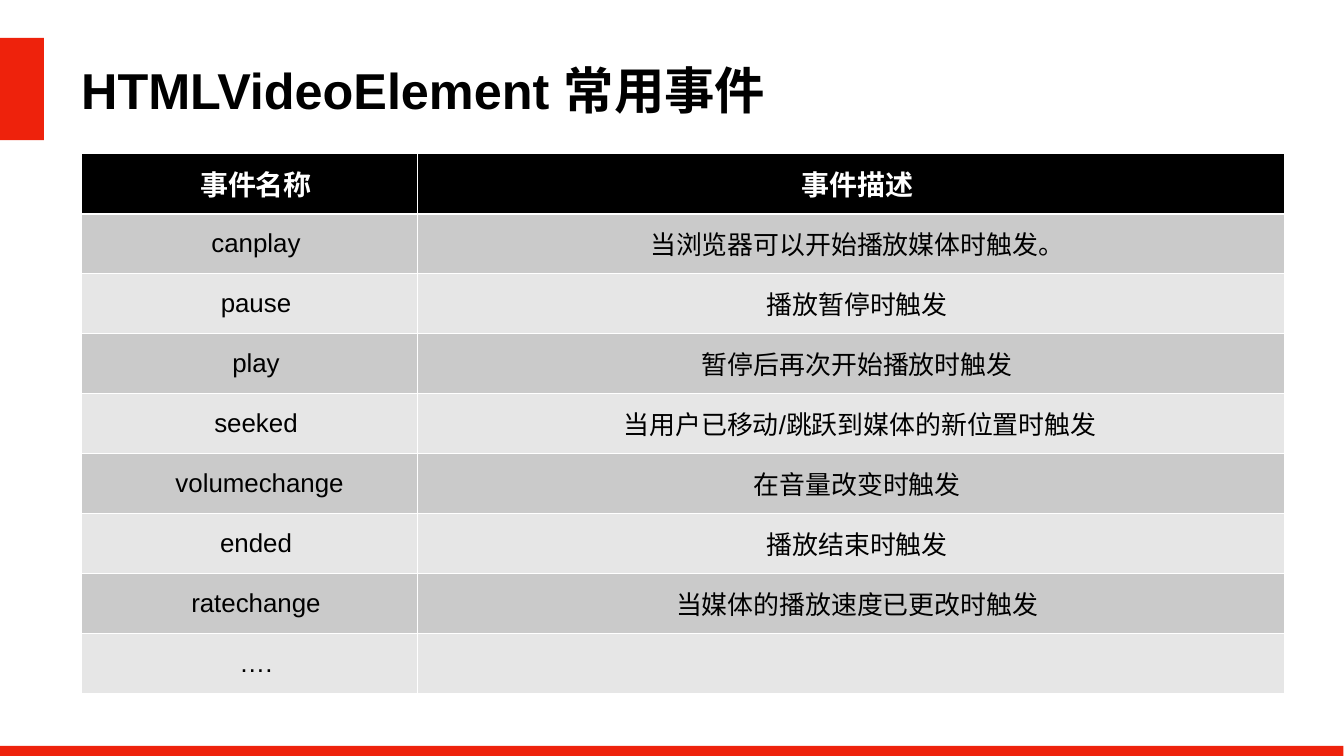
from lxml import etree
from pptx import Presentation
from pptx.dml.color import RGBColor
from pptx.enum.shapes import MSO_SHAPE
from pptx.enum.text import MSO_ANCHOR, MSO_AUTO_SIZE, PP_ALIGN
from pptx.oxml.ns import qn
from pptx.util import Inches, Pt

RECTANGLE = MSO_SHAPE.RECTANGLE
MIDDLE = MSO_ANCHOR.MIDDLE
NO_AUTOFIT = MSO_AUTO_SIZE.NONE
LEFT, CENTER = PP_ALIGN.LEFT, PP_ALIGN.CENTER

BLACK = RGBColor(0x00, 0x00, 0x00)
WHITE = RGBColor(0xFF, 0xFF, 0xFF)
RED = RGBColor(0xEE, 0x22, 0x0C)
DARK_GREY = RGBColor(0xCA, 0xCA, 0xCA)
LIGHT_GREY = RGBColor(0xE6, 0xE6, 0xE6)
FONT = "Arial"

# Content
TITLE = "HTMLVideoElement 常用事件"
EVENTS = [
    ("事件名称", "事件描述"),
    ("canplay", "当浏览器可以开始播放媒体时触发。"),
    ("pause", "播放暂停时触发"),
    ("play", "暂停后再次开始播放时触发"),
    ("seeked", " 当用户已移动/跳跃到媒体的新位置时触发"),
    (" volumechange", "在音量改变时触发"),
    ("ended", "播放结束时触发"),
    ("ratechange", "当媒体的播放速度已更改时触发"),
    ("….", ""),
]
RED_BARS = [(-0.05, 0.75, 0.92, 2.03), (0, 14.8, 26.66, 0.5)]
COLUMN_WIDTHS = [6.67, 17.19]
ROW_HEIGHT = 1.19
FIRST_LINE_INDENT = Inches(0.25)


def set_font(paragraph, size, color, bold):
    font = paragraph.font
    font.name, font.size, font.bold = FONT, Pt(size), bold
    font.color.rgb = color


def set_margins(box, margin):
    box.margin_left = box.margin_right = Inches(margin)
    box.margin_top = box.margin_bottom = Inches(margin)


def add_borders(cell, top, bottom):
    properties = cell._tc.get_or_add_tcPr()
    for side, width in (("L", 1), ("R", 1), ("T", top), ("B", bottom)):
        line = etree.SubElement(properties, qn(f"a:ln{side}"), w=str(Pt(width)))
        fill = etree.SubElement(line, qn("a:solidFill"))
        etree.SubElement(fill, qn("a:srgbClr"), val=str(WHITE))


def format_cell(cell, row, text):
    is_header = row == 0
    add_borders(cell, top=3 if row == 1 else 1, bottom=3 if is_header else 1)
    cell.fill.solid()
    cell.fill.fore_color.rgb = (
        BLACK if is_header else DARK_GREY if row % 2 else LIGHT_GREY)
    cell.vertical_anchor = MIDDLE
    set_margins(cell, 0)
    cell.text = text
    paragraph = cell.text_frame.paragraphs[0]
    paragraph.alignment = CENTER
    paragraph._p.get_or_add_pPr().set("indent", str(FIRST_LINE_INDENT))
    set_font(paragraph, 40 if is_header else 37,
             WHITE if is_header else BLACK, is_header)


def main():
    prs = Presentation()
    prs.slide_width, prs.slide_height = Inches(26.67), Inches(15)
    slide = prs.slides.add_slide(prs.slide_layouts[5])

    # Title
    title = slide.shapes.title
    title.left, title.top = Inches(1.55), Inches(1.02)
    title.width, title.height = Inches(22.06), Inches(1.5)
    frame = title.text_frame
    frame.text = TITLE
    frame.auto_size = NO_AUTOFIT
    frame.word_wrap = True
    frame.vertical_anchor = MIDDLE
    set_margins(frame, 0.06)
    frame.paragraphs[0].alignment = LEFT
    set_font(frame.paragraphs[0], 72, BLACK, True)

    # Red bars beside the title and along the bottom edge
    for bounds in RED_BARS:
        bar = slide.shapes.add_shape(RECTANGLE, *map(Inches, bounds))
        bar.shadow.inherit = False
        bar.fill.solid()
        bar.fill.fore_color.rgb = RED
        bar.line.fill.background()

    # Event table
    events = slide.shapes.add_table(
        len(EVENTS), len(COLUMN_WIDTHS), Inches(1.62), Inches(3.05),
        Inches(sum(COLUMN_WIDTHS)), Inches(ROW_HEIGHT * len(EVENTS))).table
    for column, width in zip(events.columns, COLUMN_WIDTHS):
        column.width = Inches(width)
    for row, texts in enumerate(EVENTS):
        events.rows[row].height = Inches(ROW_HEIGHT)
        for column, text in enumerate(texts):
            format_cell(events.cell(row, column), row, text)

    prs.save("out.pptx")


if __name__ == "__main__":
    main()
